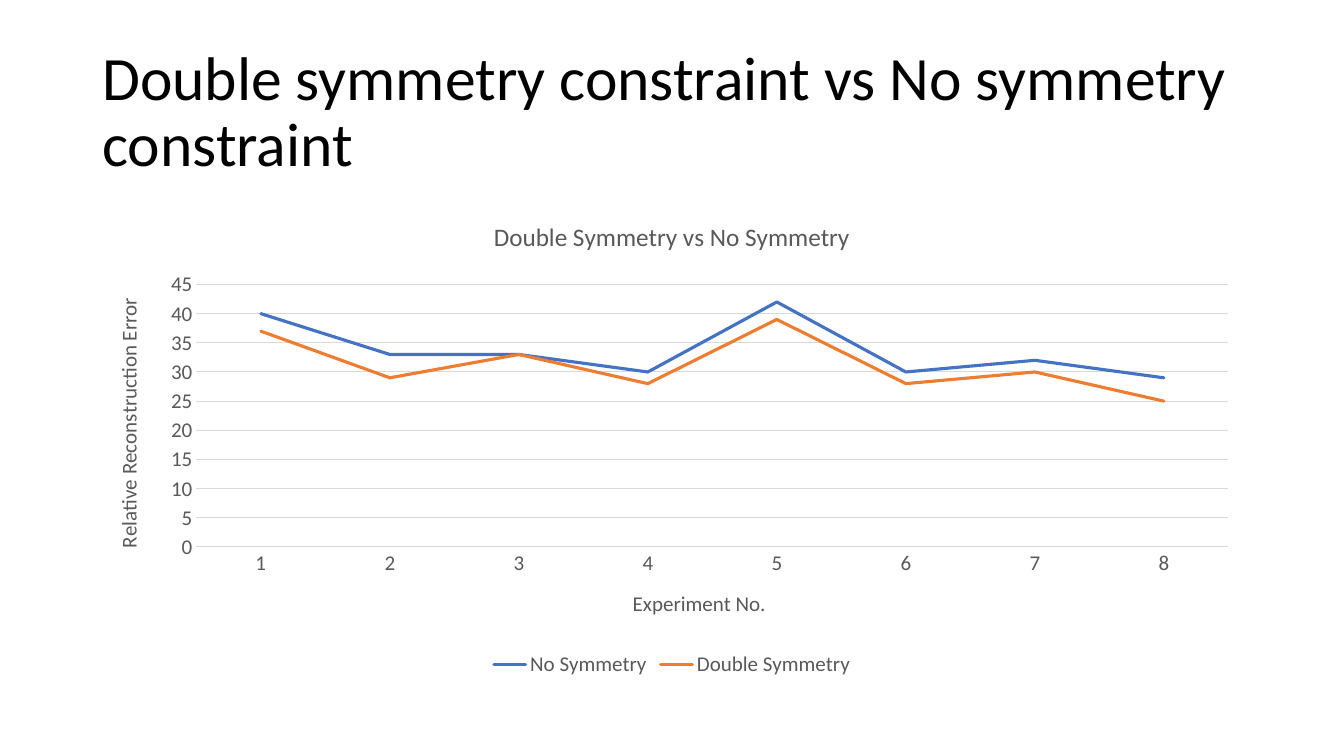
import pptx
import pptx.chart.data
import pptx.dml.color
import pptx.enum.chart
import pptx.enum.text
import pptx.oxml
import pptx.util

PX = 9525
GREY, RULE = "595959", "D9D9D9"
WIDE, HIGH = 1104, 457
ERRORS = {
    "No Symmetry": ("4472C4", (40, 33, 33, 30, 42, 30, 32, 29)),
    "Double Symmetry": ("ED7D31", (37, 29, 33, 28, 39, 28, 30, 25)),
}


def color(code):
    return pptx.dml.color.RGBColor.from_string(code)


class Deck:
    """Holds the style and the current slide."""

    def __init__(self, wide, high):
        self.face = "Calibri"
        self.prs = pptx.Presentation()
        self.prs.slide_width, self.prs.slide_height = wide * PX, high * PX
        self.slide = self.prs.slides.add_slide(self.prs.slide_layouts[6])

    def style(self, font, size, code):
        font.name, font.size, font.bold = self.face, pptx.util.Pt(size), False
        font.color.rgb = color(code)

    def rule(self, line, code, width):
        line.color.rgb = color(code)
        line.width = pptx.util.Pt(width)

    def place(self, node, **spots):
        for old in node.xpath("./c:layout"):
            node.remove(old)
        sides = {"x": WIDE, "w": WIDE, "y": HIGH, "h": HIGH}
        tags = "".join(f'<c:{tag}Mode val="edge"/>' for tag in "xy")
        tags += "".join(f'<c:{tag} val="{spot / sides[tag]}"/>'
                        for tag, spot in spots.items())
        target = '<c:layoutTarget val="inner"/>' if "w" in spots else ""
        space = pptx.oxml.ns.nsdecls("c")
        layout = pptx.oxml.parse_xml(
            f"<c:layout {space}><c:manualLayout>{target}{tags}"
            "</c:manualLayout></c:layout>")
        node.insert(len(node.xpath("./c:tx")), layout)

    def title(self, text, x, y, w, h):
        box = self.slide.shapes.add_textbox(x * PX, y * PX, w * PX, h * PX)
        frame = box.text_frame
        frame.word_wrap = True
        frame.vertical_anchor = pptx.enum.text.MSO_ANCHOR.MIDDLE
        frame.text = text
        para = frame.paragraphs[0]
        para.line_spacing = 0.9
        self.style(para.runs[0].font, 44, "000000")

    def label(self, frame, text, size):
        frame.text = text
        self.style(frame.paragraphs[0].runs[0].font, size, GREY)

    def axis(self, axis, text):
        axis.major_tick_mark = pptx.enum.chart.XL_TICK_MARK.NONE
        axis.minor_tick_mark = pptx.enum.chart.XL_TICK_MARK.NONE
        self.style(axis.tick_labels.font, 15, GREY)
        self.label(axis.axis_title.text_frame, text, 15)

    def chart(self, text, names, rows, x, y, w, h):
        data = pptx.chart.data.CategoryChartData()
        data.categories = names
        for name, (code, vals) in rows.items():
            data.add_series(name, vals)
        kind = pptx.enum.chart.XL_CHART_TYPE.LINE
        chart = self.slide.shapes.add_chart(
            kind, x * PX, y * PX, w * PX, h * PX, data).chart
        self.style(chart.font, 15, GREY)
        self.label(chart.chart_title.text_frame, text, 18)
        chart.has_legend = True
        chart.legend.position = pptx.enum.chart.XL_LEGEND_POSITION.BOTTOM
        chart.legend.include_in_layout = False
        self.style(chart.legend.font, 15, GREY)
        chart.plots[0].vary_by_categories = False
        for line, (code, vals) in zip(chart.plots[0].series, rows.values()):
            line.smooth = False
            line.marker.style = pptx.enum.chart.XL_MARKER_STYLE.NONE
            self.rule(line.format.line, code, 2.25)
        for stroke in chart.element.xpath(".//c:ser/c:spPr/a:ln"):
            stroke.set("cap", "rnd")
        return chart


def main():
    deck = Deck(1280, 720)
    deck.title("Double symmetry constraint vs No symmetry constraint",
               88, 38, 1104, 140)
    chart = deck.chart("Double Symmetry vs No Symmetry",
                       [str(num) for num in range(1, 9)], ERRORS,
                       88, 192, WIDE, HIGH)
    base, side = chart.category_axis, chart.value_axis
    deck.axis(base, "Experiment No.")
    deck.axis(side, "Relative Reconstruction Error")
    deck.rule(base.format.line, RULE, 0.75)
    side.format.line.fill.background()
    side.minimum_scale, side.maximum_scale, side.major_unit = 0, 45, 5
    side.has_major_gridlines = True
    deck.rule(side.major_gridlines.format.line, RULE, 0.75)

    spots = ((378, 13), (511, 365), (17, 88))
    for node, (x, y) in zip(chart.element.xpath(".//c:title"), spots):
        deck.place(node, x=x, y=y)
    deck.place(chart.element.xpath(".//c:plotArea")[0],
               x=99, y=79, w=983, h=250)
    deck.prs.save("out.pptx")


if __name__ == "__main__":
    main()
